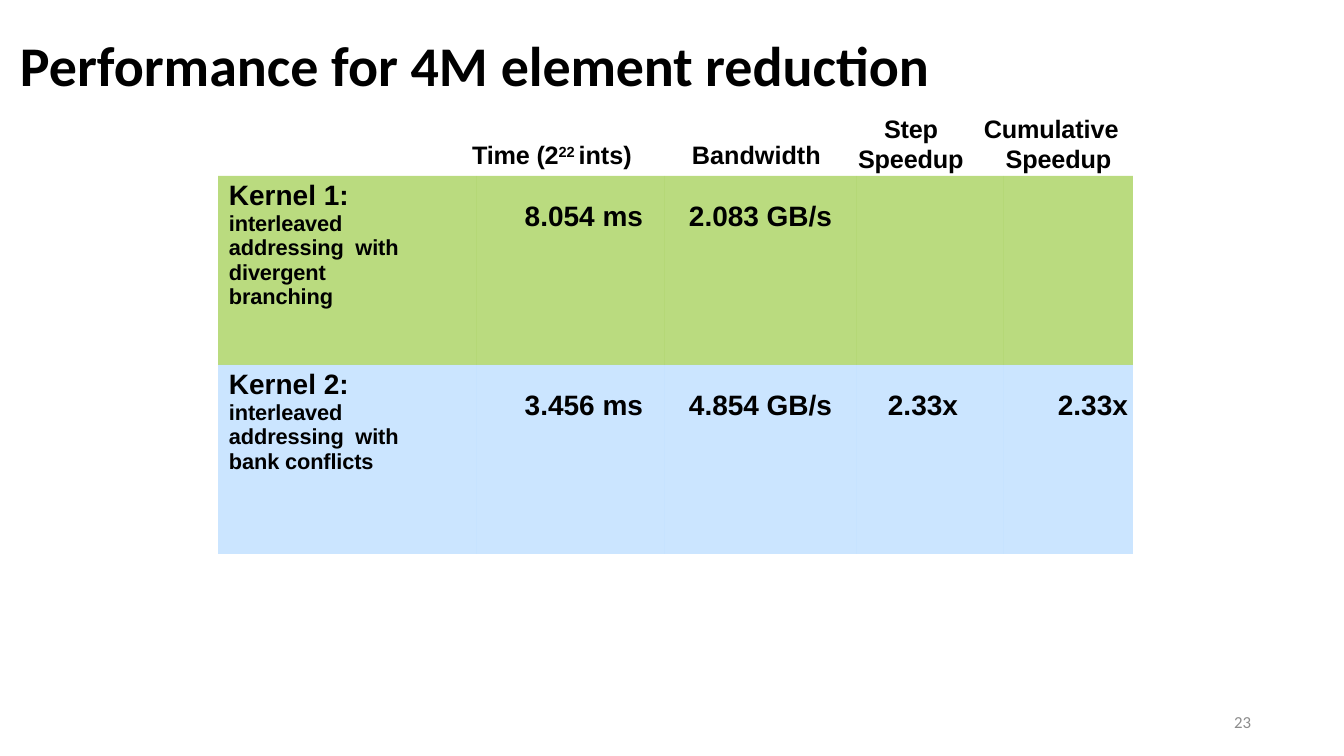
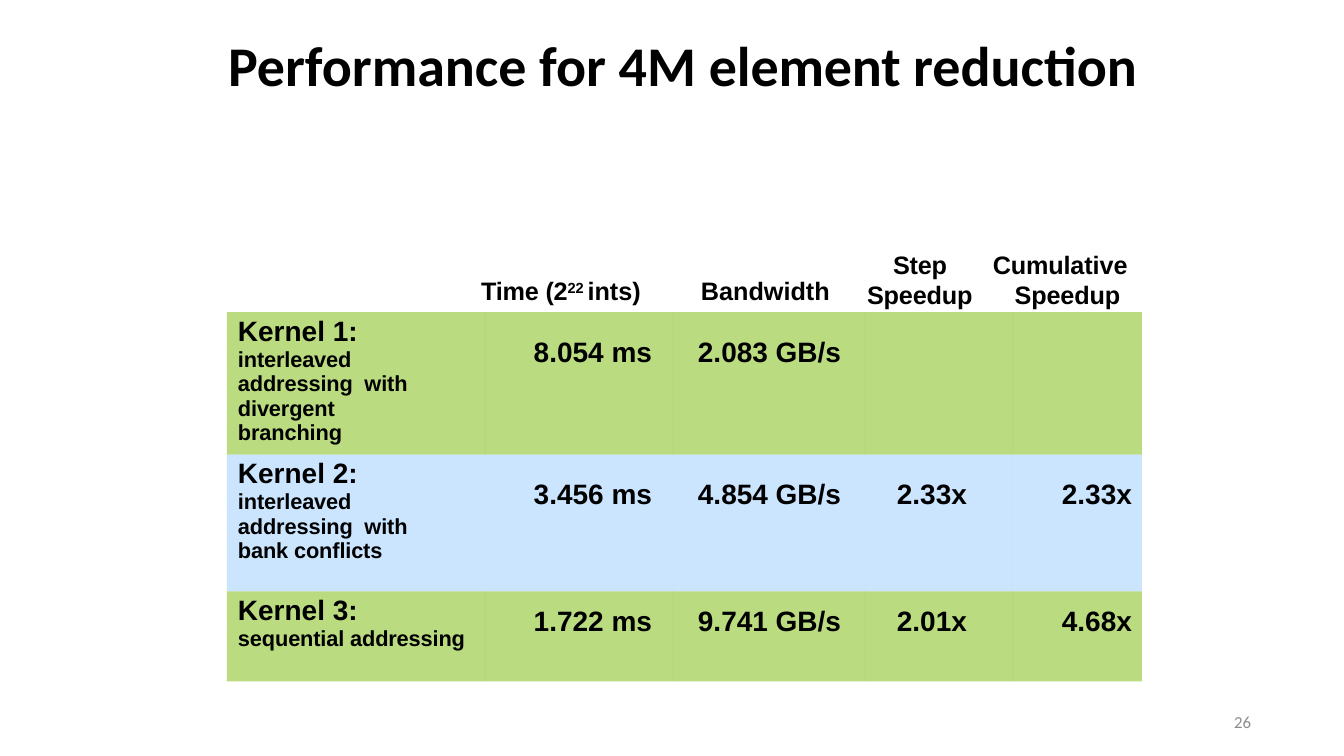
from lxml.etree import SubElement
from pptx import Presentation
from pptx.dml.color import RGBColor
from pptx.enum.text import MSO_ANCHOR as ANCHOR, MSO_AUTO_SIZE as AUTO, PP_ALIGN as ALIGN
from pptx.oxml.ns import qn
from pptx.util import Pt

BLACK = RGBColor(0x00, 0x00, 0x00)
GRAY = RGBColor(0x8C, 0x8C, 0x8C)
GREEN = RGBColor(0x76, 0xB8, 0x00)
BLUE = RGBColor(0x99, 0xCC, 0xFF)
NO_STYLE = "{2D5ABB26-0587-4C30-8999-92F81FD0307C}"

TITLE = [("Performance for 4M ", 0), ("element ", -10), ("reduction", 0)]
KERNELS = [
    ("Kernel 1:", "interleaved addressing  with divergent branching", 64,
     ["8.054 ms", "2.083 GB/s", "", ""]),
    ("Kernel 2:", "interleaved addressing  with bank conflicts", 64,
     ["3.456 ms", "4.854 GB/s", "2.33x", "2.33x"]),
    ("Kernel 3:", "sequential addressing", 0,
     ["1.722 ms", "9.741 GB/s", "2.01x", "4.68x"]),
]
HEADERS = [
    ([("Step  Speedup", -10)], (639, -64, 110, 63), (1, 26)),
    ([("Bandwidth", 0)], (473, -38, 132, 32), (1, 0)),
    ([("Time (2", -10), ("22 ", -10, 25000), ("ints)", 0)], (250, -38, 172, 32), (4, 0)),
    ([("Cumulati", -10), ("v", -40), ("e  Speedup", -10)], (765, -64, 138, 63), (16, -15)),
]
COLUMNS = [259, 188, 192, 147, 129]
RIGHT_22, LEFT_24, LEFT_31 = (ALIGN.RIGHT, 0, 22), (ALIGN.LEFT, 24, 0), (ALIGN.LEFT, 31, 0)
SLIDES = [
    dict(number="23", title=(19, 1029), table=(218, 176), rows=[189, 189],
         last=(ALIGN.LEFT, 54, 0)),
    dict(number="26", title=(227, 1033), table=(227, 312), rows=[137, 137, 90],
         last=(ALIGN.RIGHT, 0, 10)),
]

TITLE_FONT = dict(size=Pt(36), name="Calibri", bold=True)
HEADER_FONT = dict(size=Pt(16.2), name="Arial", bold=True)
NAME_FONT = dict(size=Pt(18), name="Arial", bold=True)
DETAIL_FONT = dict(size=Pt(14), name="Arial", bold=True)
NUMBER_FONT = dict(size=Pt(10.8), name="Calibri")


def px(n):
    return round(n * 914400 / 112)


def assign(obj, values):
    for key, value in values.items():
        setattr(obj, key, value)


def write(p, runs, font, color=BLACK, indent=(0, 0), **layout):
    assign(p, layout)
    pPr = p._p.get_or_add_pPr()
    for key, value in zip(("marL", "indent"), indent):
        pPr.set(key, str(px(value)))
    for text, spacing, *baseline in runs:
        r = p.add_run()
        r.text = text
        assign(r.font, font)
        r.font.color.rgb = color
        rPr = r._r.get_or_add_rPr()
        rPr.set("spc", str(spacing))
        if baseline:
            rPr.set("baseline", str(baseline[0]))


def add_text(s, box, runs, font, top=1, anchor=ANCHOR.TOP, **layout):
    tf = s.shapes.add_textbox(*map(px, box)).text_frame
    assign(tf, dict(word_wrap=True, auto_size=AUTO.SHAPE_TO_FIT_TEXT, vertical_anchor=anchor,
                    margin_left=0, margin_top=px(top), margin_right=0, margin_bottom=0))
    write(tf.paragraphs[0], runs, font, **layout)


def fill_cell(cell, color, top, right):
    assign(cell, dict(margin_left=0, margin_top=px(top), margin_right=px(right),
                      margin_bottom=0, vertical_anchor=ANCHOR.TOP))
    cell.fill.solid()
    cell.fill.fore_color.rgb = color
    rgb = next(cell._tc.tcPr.iter(qn("a:srgbClr")))
    SubElement(rgb, qn("a:alpha"), val="50000")


def add_results(s, left, top, heights, last):
    shape = s.shapes.add_table(len(heights), len(COLUMNS), px(left), px(top),
                               px(sum(COLUMNS)), px(sum(heights)))
    table = shape.table
    assign(table, dict(first_row=False, horz_banding=False))
    next(table._tbl.iter(qn("a:tableStyleId"))).text = NO_STYLE
    for column, width in zip(table.columns, COLUMNS):
        column.width = px(width)
    for i, (height, kernel) in enumerate(zip(heights, KERNELS)):
        name, detail, inset, values = kernel
        table.rows[i].height = px(height)
        color = BLUE if i % 2 else GREEN
        cell = table.cell(i, 0)
        fill_cell(cell, color, 4, inset)
        tf = cell.text_frame
        write(tf.paragraphs[0], [(name, 0)], NAME_FONT, indent=(11, 0), space_before=Pt(3))
        write(tf.add_paragraph(), [(detail, -10)], DETAIL_FONT, indent=(11, 0),
              space_before=Pt(0.2))
        value_top, before = (15, 10.7) if height < 100 else (25, 17.4)
        for j, (value, place) in enumerate(zip(values, (RIGHT_22, LEFT_24, LEFT_31, last)), 1):
            align, indent, right = place
            cell = table.cell(i, j)
            fill_cell(cell, color, value_top if value else 0, right)
            if value:
                write(cell.text_frame.paragraphs[0], [(value, 0)], NAME_FONT,
                      indent=(indent, 0), alignment=align, space_before=Pt(before))


def build_slide(prs, number, title, table, rows, last):
    s = prs.slides.add_slide(prs.slide_layouts[6])
    left, width = title
    add_text(s, (left, 36, width, 63), TITLE, TITLE_FONT, anchor=ANCHOR.MIDDLE,
             indent=(1, 0), line_spacing=0.9, space_before=Pt(0.9))
    x, y = table
    add_results(s, x, y, rows, last)
    for runs, (dx, dy, w, h), indent in HEADERS:
        add_text(s, (x + dx, y + dy, w, h), runs, HEADER_FONT, indent=indent,
                 space_before=Pt(0.9))
    add_text(s, (949, 701, 302, 40), [(number, -10)], NUMBER_FONT, top=0,
             anchor=ANCHOR.MIDDLE, color=GRAY, indent=(4, 0), alignment=ALIGN.RIGHT,
             line_spacing=Pt(14.2))


def main():
    prs = Presentation()
    assign(prs, dict(slide_width=px(1344), slide_height=px(756)))
    for slide in SLIDES:
        build_slide(prs, **slide)
    prs.save("out.pptx")


if __name__ == "__main__":
    main()
